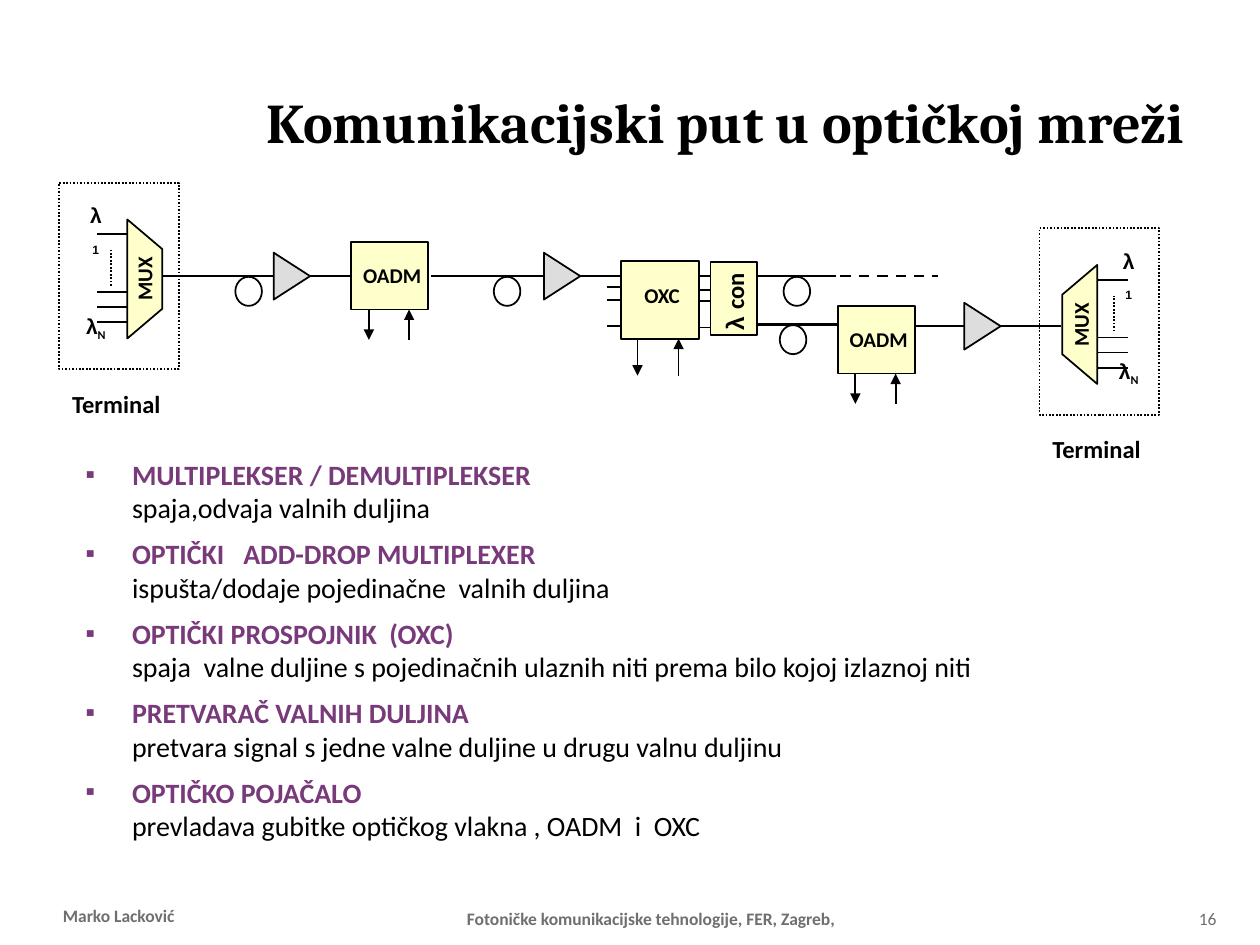
import pptx
import pptx.dml.color
import pptx.enum.dml
import pptx.enum.shapes
import pptx.enum.text
import pptx.oxml.ns
import pptx.util
from lxml import etree

Pt = pptx.util.Pt
Kind = pptx.enum.shapes.MSO_SHAPE
Dash = pptx.enum.dml.MSO_LINE
Align = pptx.enum.text.PP_ALIGN
Anchor = pptx.enum.text.MSO_ANCHOR

BLACK, GREY, PLUM = "000000", "6F6F6F", "783A7A"
CREAM, SILVER = "FFFFCC", "DDDDDD"

TOPICS = [
    ("MULTIPLEKSER / DEMULTIPLEKSER", "spaja,odvaja valnih duljina"),
    ("OPTIČKI   ADD-DROP MULTIPLEXER", "ispušta/dodaje pojedinačne  valnih duljina"),
    ("OPTIČKI PROSPOJNIK  (OXC)",
     "spaja  valne duljine s pojedinačnih ulaznih niti prema bilo kojoj izlaznoj niti"),
    ("PRETVARAČ VALNIH DULJINA",
     "pretvara signal s jedne valne duljine u drugu valnu duljinu"),
    ("OPTIČKO POJAČALO", "prevladava gubitke optičkog vlakna , OADM  i  OXC"),
]


def color(code):
    """Turn a hex string into a colour."""
    return pptx.dml.color.RGBColor.from_string(code)


def child(node, tag, **attrs):
    """Add an XML child with attributes."""
    return etree.SubElement(node, pptx.oxml.ns.qn(tag), attrs)


def style(run, size, face="Calibri", code=BLACK, bold=True):
    """Format one run."""
    run.font.size, run.font.name, run.font.bold = Pt(size), face, bold
    run.font.color.rgb = color(code)


def frame(slide, x, y, w, h, wrap=True, anchor=Anchor.TOP, turn=0):
    """Add an empty text box and return its text frame."""
    box = slide.shapes.add_textbox(Pt(x), Pt(y), Pt(w), Pt(h))
    box.rotation = turn
    text = box.text_frame
    text.word_wrap, text.vertical_anchor = wrap, anchor
    return text


def label(slide, x, y, w, h, words, size=12, face="Calibri", code=BLACK, bold=True,
          align=Align.CENTER, **kind):
    """Add a one-style text box."""
    text = frame(slide, x, y, w, h, **kind)
    para = text.paragraphs[0]
    para.text, para.alignment = words, align
    style(para.runs[0], size, face, code, bold)
    return text


def paint(shape, fill=None):
    """Give a shape its fill and a thin black outline."""
    shape.shadow.inherit = False
    if fill:
        shape.fill.solid()
        shape.fill.fore_color.rgb = color(fill)
    else:
        shape.fill.background()
    shape.line.color.rgb, shape.line.width = color(BLACK), Pt(1)


def block(slide, kind, x, y, w, h, fill=None):
    """Add a painted preset shape."""
    shape = slide.shapes.add_shape(kind, Pt(x), Pt(y), Pt(w), Pt(h))
    paint(shape, fill)
    return shape


def wire(slide, x1, y1, x2, y2, width=1, dash=None, tip=False):
    """Draw a straight line, with an arrowhead at its end if asked."""
    line = slide.shapes.add_connector(
        pptx.enum.shapes.MSO_CONNECTOR.STRAIGHT, Pt(x1), Pt(y1), Pt(x2), Pt(y2))
    line.line.color.rgb, line.line.width = color(BLACK), Pt(width)
    if dash:
        line.line.dash_style = dash
    if tip:
        child(line.line._get_or_add_ln(), "a:tailEnd", type="triangle")
    child(line._element.spPr, "a:effectLst")


def lamda(slide, mid, y, index, face):
    """Place a lambda with its index, centred on mid."""
    wide = 24.5 if index == "1" else 26.6
    para = frame(slide, mid - wide / 2, y, wide, 23.8).paragraphs[0]
    para.text, para.alignment = "λ", Align.CENTER
    style(para.runs[0], 12, "Arial")
    low = para.add_run()
    low.text = index
    style(low, 12, face)
    low.font._element.set("baseline", "-25000")


def terminal(slide, x, y, flip=False):
    """Draw a terminal with its multiplexer, mirrored if flip is set."""
    def at(u):
        return x + (72 - u if flip else u)

    edge = [(39, 89), (59, 72), (59, 38), (39, 21)]
    spots = [(Pt(at(u)), Pt(y + v)) for u, v in edge]
    path = slide.shapes.build_freeform(*spots[0], scale=1.0)
    path.add_line_segments(spots[1:], close=True)
    paint(path.convert_to_shape(), CREAM)
    for v in (29.5, 62.5, 71, 79.7):
        wire(slide, at(39), y + v, at(21.6), y + v)
    wire(slide, at(29.5), y + 59, at(29.5), y + 38.5, dash=Dash.ROUND_DOT)
    lamda(slide, at(21), y + 8, "1", "Arial")
    lamda(slide, at(21), y + 71, "N", "Calibri")
    label(slide, at(48.5) - 21.25, y + 44.3, 42.5, 21.6, "MUX", wrap=False, turn=270)
    case = block(slide, Kind.RECTANGLE, x, y, 68.4, 106.6)
    case.line.dash_style = Dash.ROUND_DOT
    label(slide, x - 5.8, y + 114.2, 77, 24.5, "Terminal", 14, wrap=False)


def node(slide, x, y, w, h, words, top, drop, ports):
    """Draw a switching box with one drop arrow and one add arrow."""
    block(slide, Kind.RECTANGLE, x, y, w, h, CREAM)
    left, right = (x + port for port in ports)
    wire(slide, left, y + h, left, y + h + drop, tip=True)
    wire(slide, right, y + h + drop, right, y + h, tip=True)
    label(slide, x + w / 2 - 25, y + top, 52.6, 21.6, words, wrap=False)


def oadm(slide, x, y):
    """Draw an add-drop multiplexer."""
    node(slide, x, y, 44, 38.5, "OADM", 8, 17.3, (10, 33))


def cross(slide, x, y):
    """Draw the cross-connect, its ports and the wavelength converter."""
    node(slide, x, y, 44.6, 44.6, "OXC", 8.7, 21, (9.5, 33))
    for v in (15.2, 22.3, 37.5):
        wire(slide, x - 8.2, y + v, x, y + v)
    for v in (8.7, 16.6, 23, 38.2):
        wire(slide, x + 44.6, y + v, x + 53, y + v)
    block(slide, Kind.RECTANGLE, x + 51.2, y + 0.7, 26.6, 41.8, CREAM)
    text = label(slide, x + 44.6, y + 3, 57.6, 41, "λ ", 14, "Arial", turn=270)
    run = text.paragraphs[0].add_run()
    run.text = "con"
    style(run, 14)


def link(slide, x, y, w, loop=None, amp=None):
    """Draw a fibre with an optional coil and amplifier along it."""
    wire(slide, x, y, x + w, y, 1.5)
    if loop is not None:
        block(slide, Kind.OVAL, x + loop, y + 0.4, 15.2, 16.6)
    if amp is not None:
        shape = block(slide, Kind.ISOSCELES_TRIANGLE, x + amp - 13.4, y - 10.4, 26.8, 20.8, SILVER)
        shape.rotation = 90


def route(slide, x, y):
    """Draw the path from one terminal to the other."""
    terminal(slide, x, y)
    terminal(slide, x + 560.2, y + 26, flip=True)
    main, low = y + 53.4, y + 82
    link(slide, x + 59, main, 108, 41.7, 74)
    link(slide, x + 212.4, main, 108, 36, 75)
    link(slide, x + 399, main, 45, 15)
    wire(slide, x + 446.4, main, x + 502, main, 1.5, Dash.DASH)
    link(slide, x + 399.6, low - 1, 45.4, 12.2)
    link(slide, x + 489.6, low, 83, None, 38)
    oadm(slide, x + 167, y + 34)
    cross(slide, x + 321, y + 44.6)
    oadm(slide, x + 445, y + 70.6)


def topics(slide, x, y, w, h):
    """List the parts of the path with their roles."""
    text = frame(slide, x, y, w, h)
    for i, pair in enumerate(TOPICS):
        para = text.add_paragraph() if i else text.paragraphs[0]
        para.text = "\v".join(pair)
        if i:
            para.space_before = Pt(7)
        props = para._p.get_or_add_pPr()
        props.set("marL", str(Pt(32.4)))
        props.set("indent", str(-Pt(26.6)))
        child(child(props, "a:buClr"), "a:srgbClr", val=PLUM)
        child(props, "a:buSzPct", val="95000")
        child(props, "a:buFont", typeface="Calibri")
        child(props, "a:buChar", char="▪")
        for stop in para._p.findall(pptx.oxml.ns.qn("a:br")):
            child(stop, "a:rPr", sz="1600")
        head, body = para.runs
        style(head, 16, code=PLUM)
        style(body, 16, bold=False)


def footer(slide, x, y, w, h):
    """Place author, course and page number along the bottom."""
    look = dict(size=10, code=GREY, anchor=Anchor.BOTTOM)
    text = label(slide, x, y - 1.4, 84.2, h, "Marko Lacković", align=Align.LEFT, **look)
    text.margin_left = 0
    label(slide, x + 77.8, y, 516.2, h, "Fotoničke komunikacijske tehnologije, FER, Zagreb,", **look)
    label(slide, x + w - 36, y, 36, h, "16", bold=False, align=Align.LEFT, **look)


def main():
    """Build and save the slide."""
    deck = pptx.Presentation()
    deck.slide_width, deck.slide_height = Pt(720), Pt(540)
    slide = deck.slides.add_slide(deck.slide_layouts[6])
    label(slide, 36, 18, 648, 102.2, "Komunikacijski put u optičkoj mreži", 32, "Cambria",
          align=Align.RIGHT, anchor=Anchor.MIDDLE)
    topics(slide, 36, 257.8, 648, 228)
    route(slide, 33.8, 104.4)
    footer(slide, 36, 505.4, 678, 28.8)
    deck.save("out.pptx")


if __name__ == "__main__":
    main()
